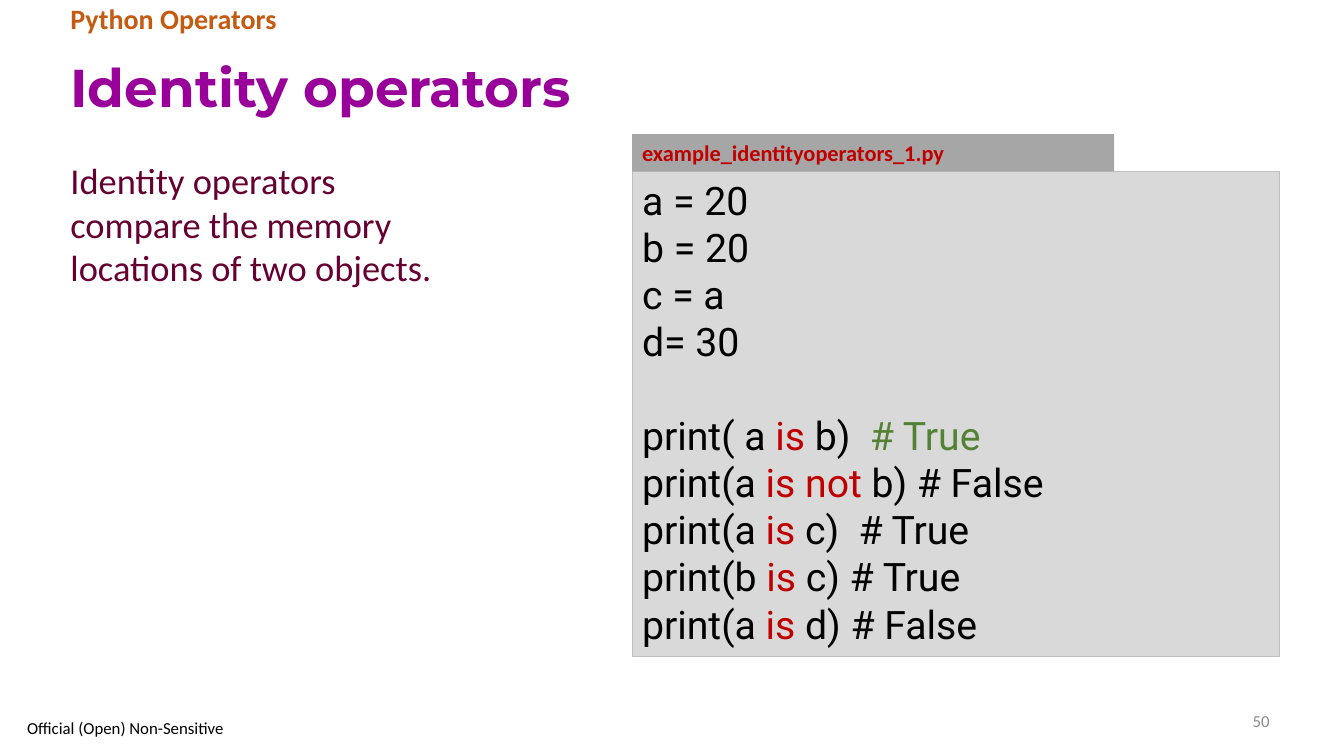
from pptx import Presentation
from pptx.dml.color import RGBColor as RGB
from pptx.enum.shapes import MSO_SHAPE as Preset
from pptx.enum.text import MSO_ANCHOR as Anchor, PP_ALIGN as Align
from pptx.util import Inches, Pt

THEME = {
    "title": {"name": "Montserrat", "size": 38, "bold": True, "color": "990099"},
    "topic": {"name": "Calibri", "size": 20, "bold": True, "color": "C55A11"},
    "body": {"name": "Calibri", "size": 26, "bold": False, "color": "660033"},
    "file": {"name": "Calibri", "size": 16, "bold": True, "color": "C00000"},
    "code": {"name": "Roboto", "size": 28, "bold": False, "color": "000000"},
    "keyword": {"name": "Roboto", "size": 28, "bold": False, "color": "C00000"},
    "remark": {"name": "Roboto", "size": 28, "bold": False, "color": "548235"},
    "number": {"name": "Calibri", "size": 12, "bold": False, "color": "8C8C8C"},
    "footer": {"name": "Calibri", "size": 12, "bold": False, "color": "000000"},
    "tab fill": "A6A6A6",
    "code fill": "D9D9D9",
    "code line": "BFBFBF",
}

deck = Presentation()
deck.slide_width, deck.slide_height = Inches(13.33), Inches(7.5)
slide = deck.slides.add_slide(deck.slide_layouts[6])

# Shared edges, in percent of the slide's width and height
MARGIN, CODE_LEFT, CODE_WIDTH = 4.5, 47.04, 48.16
TAB_TOP, TAB_HEIGHT = 17.73, 4.93
TITLE_TOP = 5.47


def area(left, top, width, height):
    """Turn percentages of the slide into lengths."""
    across, down = deck.slide_width / 100, deck.slide_height / 100
    return [int(left * across), int(top * down), int(width * across), int(height * down)]


def write(paragraph, text, style):
    """Add one run in a theme style."""
    run = paragraph.add_run()
    run.text = text
    look = THEME[style]
    formats = {"name": look["name"], "size": Pt(look["size"]), "bold": look["bold"]}
    for attribute, value in formats.items():
        setattr(run.font, attribute, value)
    run.font.color.rgb = RGB.from_string(look["color"])


# Plain texts: heading, explanation, footer
texts = [
    ("title", "Identity operators", (MARGIN, TITLE_TOP, 90.7, 12.93),
     Anchor.MIDDLE, {"line_spacing": 0.9}),
    ("topic", "Python Operators", (MARGIN, 0, 77.57, TITLE_TOP),
     Anchor.TOP, {"line_spacing": 0.9}),
    ("body", "Identity operators compare the memory locations of two objects.",
     (MARGIN, 20.27, 29.48, 18.8), Anchor.TOP, {}),
    ("number", "50", (70.67, 92.67, 24.53, 5.33),
     Anchor.MIDDLE, {"alignment": Align.RIGHT}),
    ("footer", "Official (Open) Non-Sensitive", (1.28, 94.53, 16.8, 3.47),
     Anchor.MIDDLE, {}),
]
for style, wording, place, anchor, formats in texts:
    frame = slide.shapes.add_textbox(*area(*place)).text_frame
    frame.word_wrap = True
    frame.vertical_anchor = anchor
    paragraph = frame.paragraphs[0]
    for attribute, value in formats.items():
        setattr(paragraph, attribute, value)
    write(paragraph, wording, style)

# Code panel with its file tab; each line is a list of (text, style) pieces
code_lines = [[(line, "code")] for line in ("a = 20", "b = 20", "c = a", "d= 30")]
first_print = len(code_lines)
code_lines.append([("print( a ", "code"), ("is", "keyword"),
                   (" b)  ", "code"), ("# True", "remark")])
for start, keyword, end in [
    ("print(a ", "is not ", "b) # False"),
    ("print(a ", "is", " c)  # True"),
    ("print(b ", "is ", "c) # True"),
    ("print(a ", "is", " d) # False"),
]:
    code_lines.append([(start, "code"), (keyword, "keyword"), (end, "code")])

file_lines = [[("example_identityoperators_1.py", "file")]]
panels = [
    ("code fill", "code line", code_lines,
     (CODE_LEFT, TAB_TOP + TAB_HEIGHT, CODE_WIDTH, 64.13)),
    ("tab fill", None, file_lines, (CODE_LEFT, TAB_TOP, 35.86, TAB_HEIGHT)),
]
for fill, outline, lines, place in panels:
    panel = slide.shapes.add_shape(Preset.RECTANGLE, *area(*place))
    panel.shadow.inherit = False
    panel.fill.solid()
    panel.fill.fore_color.rgb = RGB.from_string(THEME[fill])
    if outline:
        panel.line.color.rgb = RGB.from_string(THEME[outline])
        panel.line.width = Pt(0.75)
    else:
        panel.line.fill.background()
    frame = panel.text_frame
    frame.word_wrap = True
    frame.vertical_anchor = Anchor.TOP
    for index, pieces in enumerate(lines):
        paragraph = frame.add_paragraph() if index else frame.paragraphs[0]
        paragraph.alignment = Align.LEFT
        if index == first_print:
            # One line of air between assignments and prints
            paragraph.space_before = Pt(1.2 * THEME["code"]["size"])
        for text, style in pieces:
            write(paragraph, text, style)

deck.save("out.pptx")
